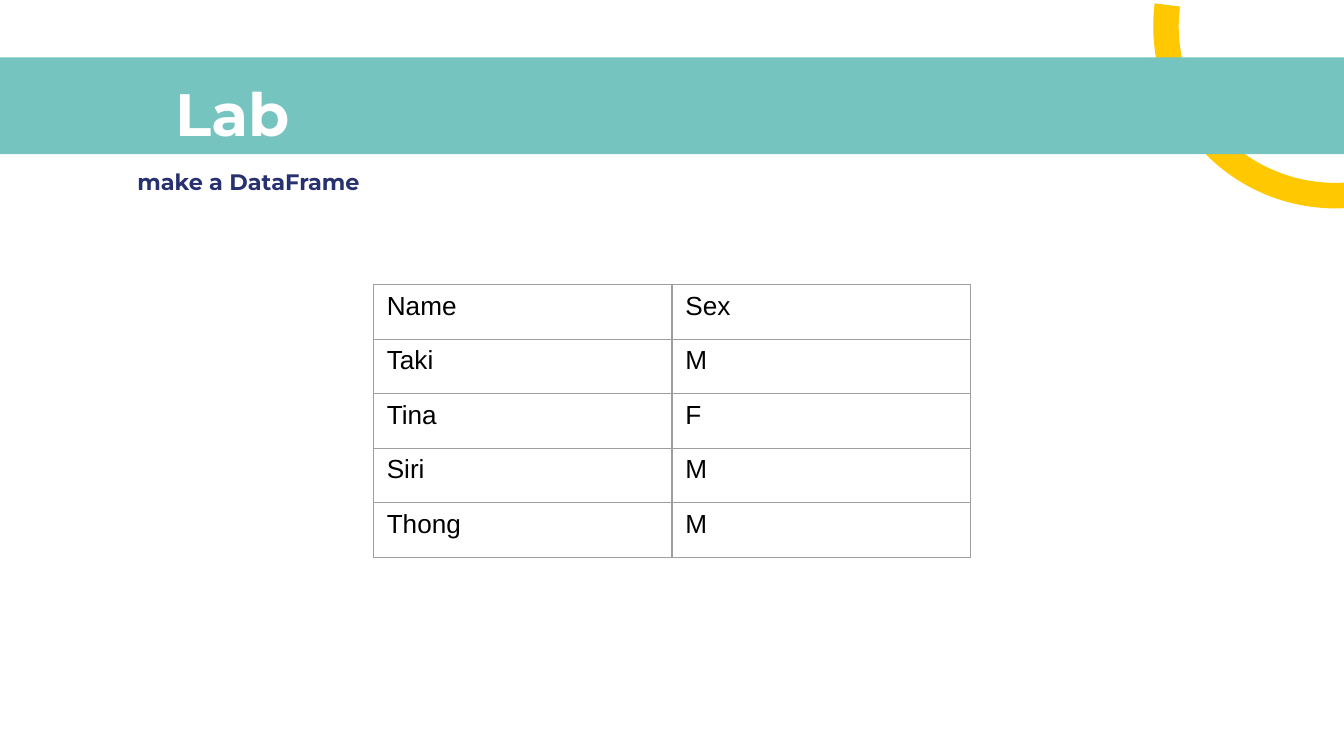
from lxml import etree
from pptx import Presentation
from pptx.dml.color import RGBColor
from pptx.enum.shapes import MSO_SHAPE
from pptx.enum.text import MSO_ANCHOR
from pptx.oxml.ns import qn
from pptx.util import Pt

BLOCK_ARC = MSO_SHAPE.BLOCK_ARC
RECTANGLE = MSO_SHAPE.RECTANGLE
TOP = MSO_ANCHOR.TOP

TEAL, YELLOW, PALE = "75C4C0", "FFC800", "EEEEEE"
WHITE, NAVY, BLACK, RULE = "FFFFFF", "27316F", "000000", "9E9E9E"


def color(code):
    return RGBColor.from_string(code)


class Deck:
    heading_font = "Montserrat"
    body_font = "Arial"

    def __init__(self, width, height):
        self.prs = Presentation()
        self.prs.slide_width, self.prs.slide_height = Pt(width), Pt(height)
        self.slide = self.prs.slides.add_slide(self.prs.slide_layouts[6])

    def shape(self, kind, left, top, width, height, fill):
        shape = self.slide.shapes.add_shape(
            kind, Pt(left), Pt(top), Pt(width), Pt(height))
        shape.shadow.inherit = False
        shape.fill.solid()
        shape.fill.fore_color.rgb = color(fill)
        shape.line.fill.background()
        return shape

    def arc(self, left, top, size, fill, start, end, thickness, rotation):
        """Ring segment; start and end are in degrees."""
        arc = self.shape(BLOCK_ARC, left, top, size, size, fill)
        arc.adjustments[0] = start * 0.6
        arc.adjustments[1] = end * 0.6
        arc.adjustments[2] = thickness
        arc.rotation = rotation

    def style(self, paragraph, font, size, ink, bold=False):
        paragraph.font.name = font
        paragraph.font.size = Pt(size)
        paragraph.font.color.rgb = color(ink)
        paragraph.font.bold = bold

    def heading(self, text, left, top, width, height, size, ink, indent=0):
        box = self.slide.shapes.add_textbox(
            Pt(left), Pt(top), Pt(width), Pt(height))
        frame = box.text_frame
        frame.word_wrap = True
        frame.vertical_anchor = TOP
        frame.margin_left = frame.margin_right = Pt(7.2)
        frame.margin_top = frame.margin_bottom = Pt(7.2)
        paragraph = frame.paragraphs[0]
        paragraph.text = text
        if indent:
            paragraph._p.get_or_add_pPr().set("marL", str(Pt(indent)))
        self.style(paragraph, self.heading_font, size, ink, bold=True)

    def border(self, cell):
        properties = cell._tc.get_or_add_tcPr()
        for index, side in enumerate(("a:lnL", "a:lnR", "a:lnT", "a:lnB")):
            line = etree.Element(qn(side), w=str(Pt(0.75)))
            solid = etree.SubElement(line, qn("a:solidFill"))
            etree.SubElement(solid, qn("a:srgbClr"), val=RULE)
            properties.insert(index, line)

    def table(self, rows, left, top, column_width, row_height):
        columns = len(rows[0])
        table = self.slide.shapes.add_table(
            len(rows), columns, Pt(left), Pt(top),
            Pt(column_width * columns), Pt(row_height * len(rows))).table
        table.first_row = table.horz_banding = False
        for column in table.columns:
            column.width = Pt(column_width)
        for row, values in zip(table.rows, rows):
            row.height = Pt(row_height)
            for cell, value in zip(row.cells, values):
                cell.text = value
                cell.fill.background()
                self.border(cell)
                self.style(cell.text_frame.paragraphs[0],
                           self.body_font, 14, BLACK)


deck = Deck(720, 405)

# Title band and decorative rings
deck.arc(617.8, -83.5, 195.1, YELLOW, 159.04, 7.23, 0.07, 180)
deck.shape(RECTANGLE, -12.2, 30.7, 744.5, 51.9, TEAL)
deck.arc(-117.4, 324.7, 187.9, PALE, 125.82, 166.85, 0.1, 74.3)

# Headings
deck.heading("Lab", 86.7, 34.1, 609, 45, 32, WHITE)
deck.heading("make a DataFrame", 55.5, 82.6, 609, 39.6, 12, NAVY, indent=11)

# People to put in the DataFrame
people = [
    ("Name", "Sex"),
    ("Taki", "M"),
    ("Tina", "F"),
    ("Siri", "M"),
    ("Thong", "M"),
]
deck.table(people, 200, 152.6, 160, 29.2)

deck.prs.save("out.pptx")
